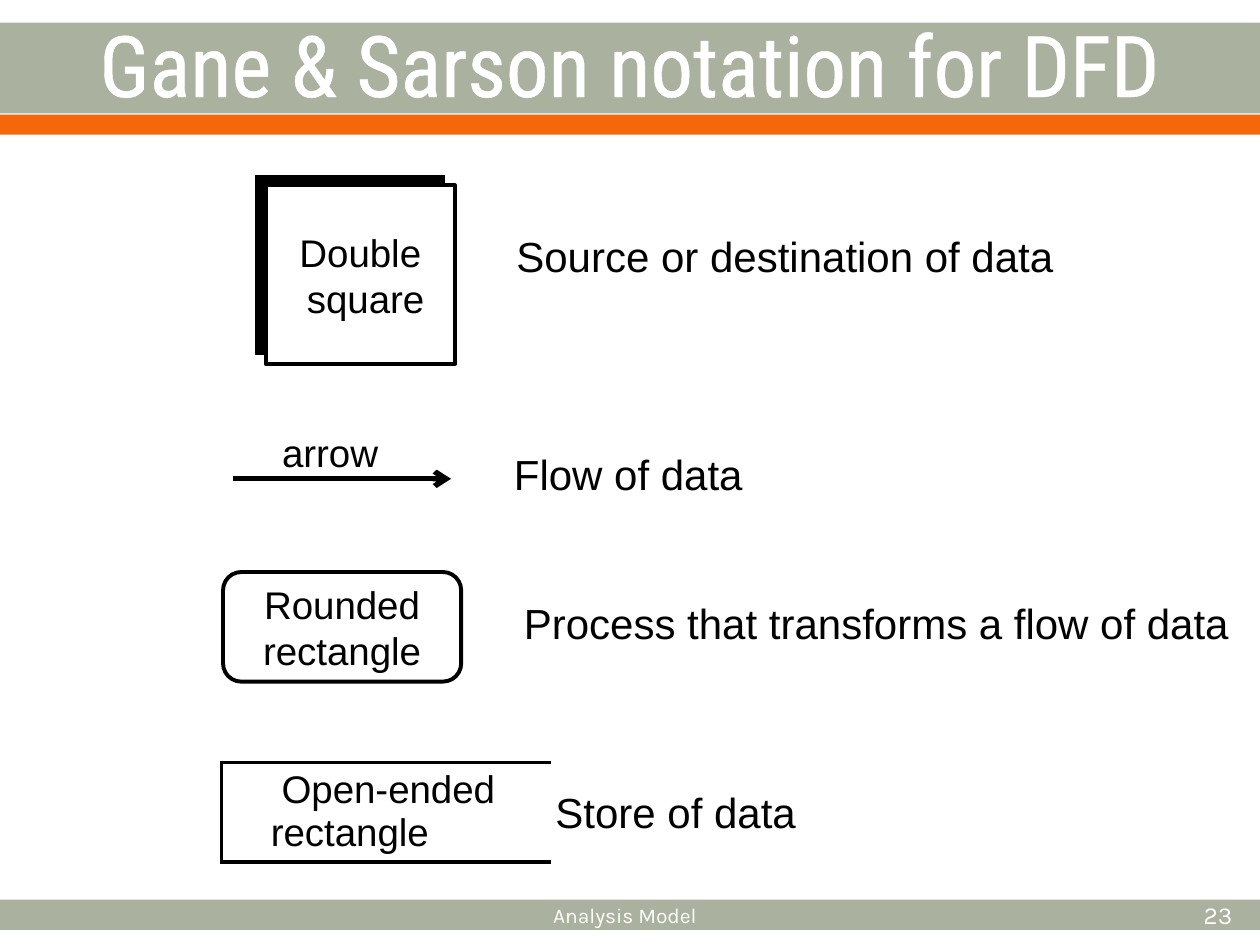
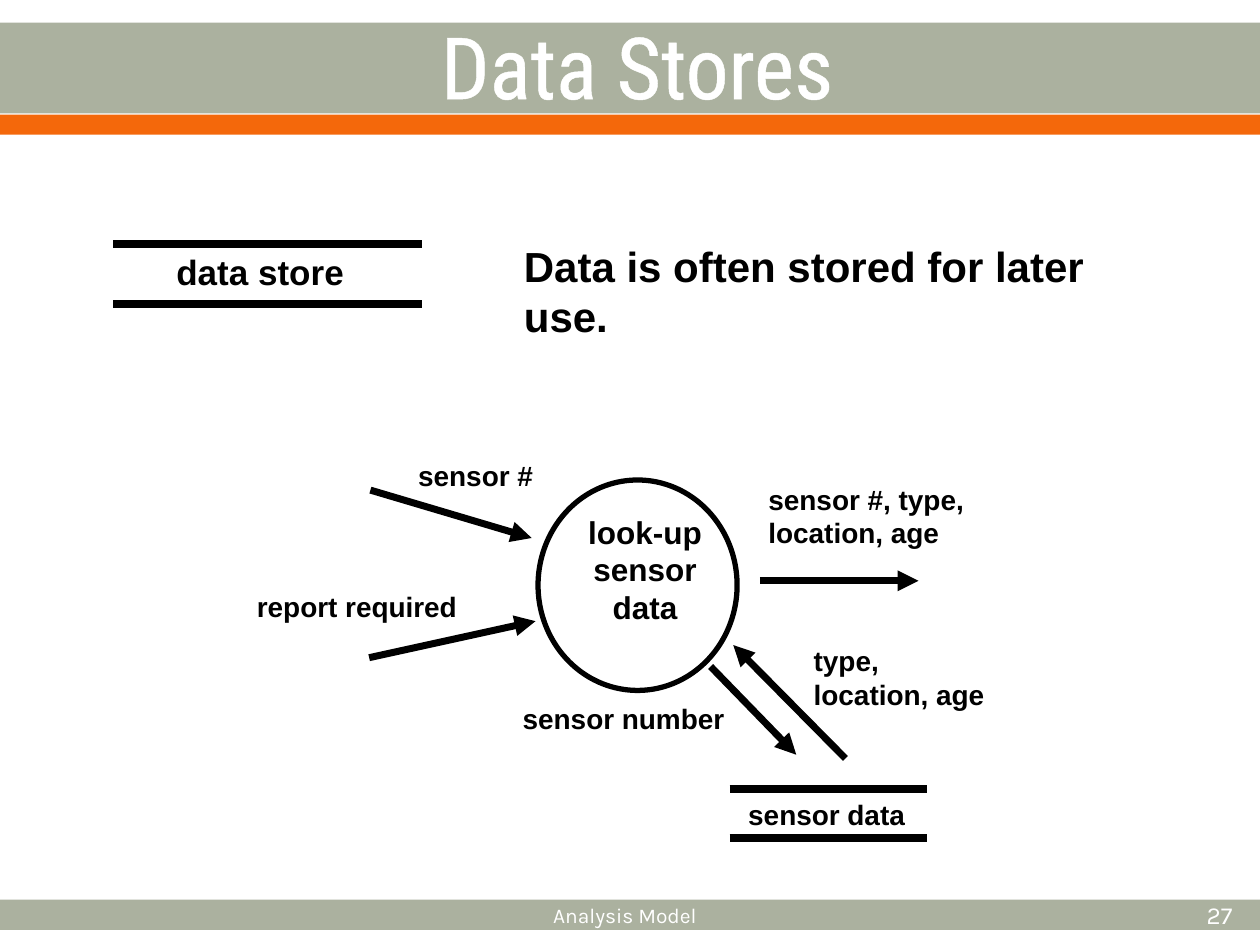
import lxml.etree
import pptx
import pptx.dml.color
import pptx.enum.shapes
import pptx.enum.text
import pptx.oxml.ns
import pptx.util

HUES = {"sage": "ABB19F", "flame": "F4680B", "ink": "000000", "paper": "FFFFFF"}
HUE = {name: pptx.dml.color.RGBColor.from_string(code) for name, code in HUES.items()}
KIND = pptx.enum.shapes.MSO_SHAPE
SIDE = pptx.enum.text.PP_ALIGN
LEVEL = pptx.enum.text.MSO_ANCHOR
COLUMNS = 100
qn = pptx.oxml.ns.qn

deck = pptx.Presentation()
deck.slide_width = pptx.util.Inches(10)
deck.slide_height = pptx.util.Inches(7.5)
unit = deck.slide_width / COLUMNS


def place(*spot):
    return [round(unit * value) for value in spot]


def write(frame, text, size, face="Arial", hue="ink", bold=False,
          side=SIDE.LEFT, level=LEVEL.TOP, wrap=False):
    frame.text = text
    frame.word_wrap = wrap
    frame.auto_size = pptx.enum.text.MSO_AUTO_SIZE.NONE
    frame.vertical_anchor = level
    for line in frame.paragraphs:
        line.alignment = side
        for run in line.runs:
            run.font.name = face
            run.font.size = pptx.util.Pt(size)
            run.font.bold = bold
            run.font.color.rgb = HUE[hue]


bands = [(1.8, 7.2, "sage"), (9.1, 1.6, "flame"), (71.4, 2.4, "sage")]
heads = [
    ("Gane & Sarson notation for DFD", 48.6, (0, 1.9, COLUMNS, 6.2), "23"),
    ("Data Stores", 49, (11.4, -1.9, 78.3, 14.1), "27"),
]
pages = []
edges = []
for text, size, spot, number in heads:
    page = deck.slides.add_slide(deck.slide_layouts[5])
    pages.append(page)
    for top, height, hue in bands:
        band = page.shapes.add_shape(KIND.RECTANGLE, *place(0, top, COLUMNS, height))
        band.shadow.inherit = False
        band.fill.solid()
        band.fill.fore_color.rgb = HUE[hue]
        band.line.fill.background()

    title = page.shapes.title
    page.shapes.element.append(title.element)
    title.left, title.top, title.width, title.height = place(*spot)
    write(title.text_frame, text, size, "Roboto Condensed", "paper",
          side=SIDE.CENTER, level=LEVEL.MIDDLE, wrap=True)
    edges.append((title.element.xpath(".//a:rPr")[0], 0, "a:ln", 1.1, "paper"))

    for left, width, note, size, side in [
        (23.2, 52.8, "Analysis Model", 12, SIDE.CENTER),
        (81.5, 17.3, number, 14, SIDE.RIGHT),
    ]:
        foot = page.shapes.add_textbox(*place(left, 70.6, width, 4))
        write(foot.text_frame, note, size, "Karla", "paper",
              side=side, level=LEVEL.MIDDLE, wrap=True)

legend, flow = pages

symbols = [
    (legend, KIND.RECTANGLE, (20.3, 13.9, 15, 14.2), "ink", 0.75, ""),
    (legend, KIND.RECTANGLE, (21.1, 14.7, 15, 14.2), "paper", 2.25, "Double\n square"),
    (legend, KIND.ROUNDED_RECTANGLE, (17.7, 45.4, 18.9, 8.7), "paper", 2.25,
     "Rounded\nrectangle"),
    (flow, KIND.OVAL, (42.7, 38.1, 15.8, 16.7), "paper", 3, ""),
]
for page, kind, spot, hue, weight, text in symbols:
    symbol = page.shapes.add_shape(kind, *place(*spot))
    symbol.shadow.inherit = False
    symbol.fill.solid()
    symbol.fill.fore_color.rgb = HUE[hue]
    symbol.line.color.rgb = HUE["ink"]
    symbol.line.width = pptx.util.Pt(weight)
    if text:
        write(symbol.text_frame, text, 22, side=SIDE.CENTER, level=LEVEL.MIDDLE)

store = legend.shapes.add_table(1, 1, *place(17.6, 60.5, 26.1, 7.9)).table
store.first_row = False
store.horz_banding = False
cell = store.cell(0, 0)
cell.margin_left, cell.margin_right = place(3.9, 3.9)
cell.fill.background()
write(cell.text_frame, " Open-ended rectangle", 22, wrap=True)
cell.text_frame.paragraphs[0].space_before = pptx.util.Pt(4.4)
frame = legend.shapes[-1].element.xpath(".//a:tcPr")[0]
sides = [("a:lnL", "ink"), ("a:lnR", None), ("a:lnT", "ink"), ("a:lnB", "ink")]
for rank, (tag, hue) in enumerate(sides):
    edges.append((frame, rank, tag, 2.25, hue))

for owner, rank, tag, weight, hue in edges:
    edge = lxml.etree.Element(qn(tag), w=str(pptx.util.Pt(weight)))
    paint = lxml.etree.SubElement(edge, qn("a:solidFill" if hue else "a:noFill"))
    if hue:
        lxml.etree.SubElement(paint, qn("a:srgbClr"), val=HUES[hue])
    owner.insert(rank, edge)

links = [
    (29.4, 38.9, 42.2, 42.7),
    (29.3, 52.2, 42.5, 49.3),
    (60.3, 46.1, 72.9, 46.1),
    (56.4, 52.9, 63.2, 59.9),
    (67.1, 60.2, 58.2, 51.2),
]
rails = [
    (left, row, right, row)
    for left, right, rows in [(57.9, 73.6, (62.6, 66.5)), (9, 33.5, (19.4, 24.1))]
    for row in rows
]
strokes = [
    (legend, [(18.5, 38, 35.8, 38)], 3, "arrow"),
    (flow, links, 4, "triangle"),
    (flow, rails, 4.5, "none"),
]
for page, paths, weight, tip in strokes:
    for ends in paths:
        stroke = page.shapes.add_connector(
            pptx.enum.shapes.MSO_CONNECTOR.STRAIGHT, *place(*ends))
        stroke.line.width = pptx.util.Pt(weight)
        stroke.line.color.rgb = HUE["ink"]
        form = stroke.element.spPr
        lxml.etree.SubElement(form.find(qn("a:ln")), qn("a:tailEnd"), type=tip)
        lxml.etree.SubElement(form, qn("a:effectLst"))

notes = [
    (legend, 24, SIDE.LEFT, False, [
        ((40, 17.8, 44.7, 5), "Source or destination of data"),
        ((39.8, 35.1, 20.2, 5), "Flow of data"),
        ((43.1, 61.9, 21.1, 5), "Store of data"),
    ]),
    (legend, 24, SIDE.LEFT, True, [
        ((40.6, 46.9, 59.4, 5.1), "Process that transforms a flow of data"),
    ]),
    (legend, 22, SIDE.LEFT, False, [((21.4, 33.6, 9.7, 4.7), "arrow")]),
    (flow, 24, SIDE.LEFT, True, [
        ((40.6, 18.6, 54, 5), "Data is often stored for later use."),
    ]),
    (flow, 20, SIDE.CENTER, False, [((13, 19.4, 15.3, 4.3), "data store")]),
    (flow, 18, SIDE.CENTER, False, [((45.7, 40.2, 11, 13), "look-up\nsensor\ndata")]),
    (flow, 16, SIDE.LEFT, False, [
        ((32.2, 35.9, 11.1, 3.6), "sensor #"),
        ((19.4, 46.3, 17.9, 3.6), "report required"),
        ((60, 37.8, 18.2, 6.3), "sensor #, type,\nlocation, age"),
        ((40.5, 55.2, 18, 3.6), "sensor number"),
        ((63.6, 50.6, 15.6, 6.3), "type,\nlocation, age"),
        ((58.4, 62.8, 14.4, 3.6), "sensor data"),
    ]),
]
for page, size, side, wrap, labels in notes:
    for spot, text in labels:
        label = page.shapes.add_textbox(*place(*spot))
        write(label.text_frame, text, size, bold=page is flow, side=side, wrap=wrap)

deck.save("out.pptx")
